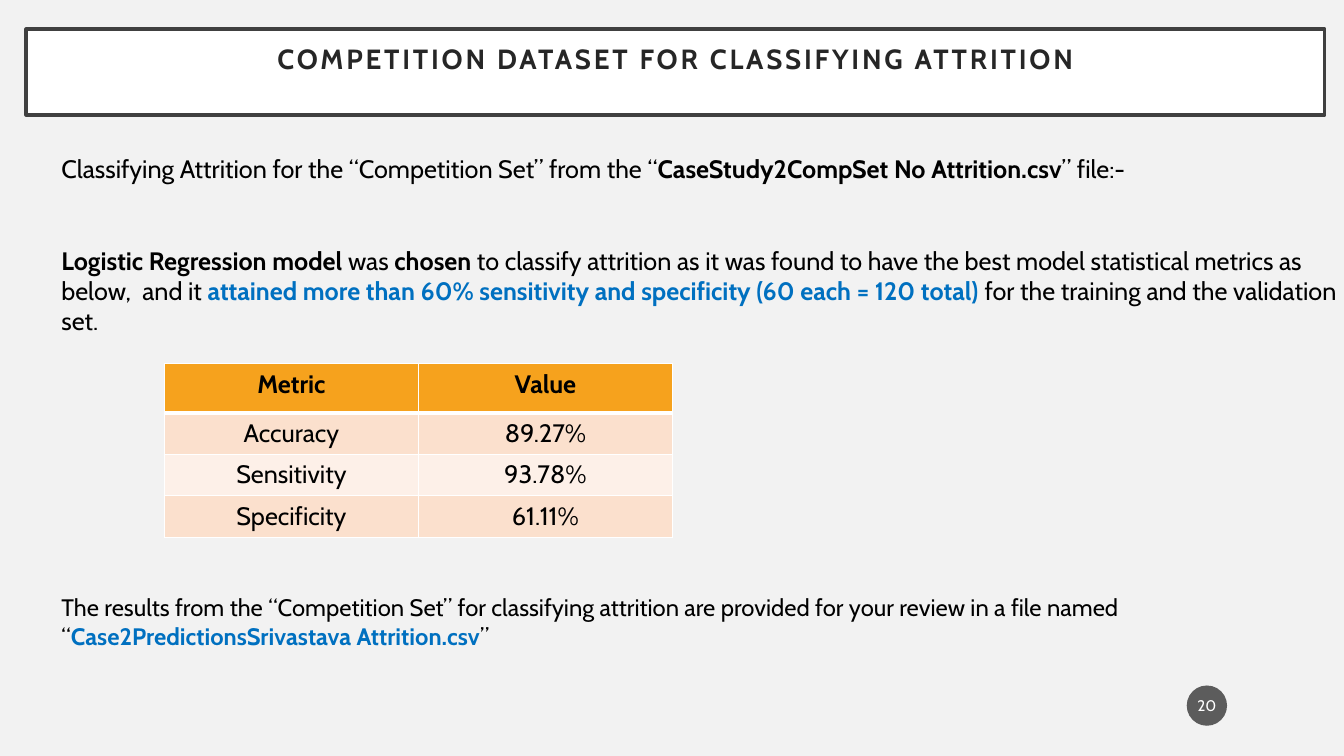
from dataclasses import dataclass

import lxml.etree
import pptx
import pptx.dml.color
import pptx.enum.shapes
import pptx.enum.text
import pptx.oxml.ns
import pptx.util


@dataclass(frozen=True)
class Theme:
    """Colours, font and type sizes."""
    font: str = "Cabin"
    page: str = "F2F2F2"
    white: str = "FFFFFF"
    frame: str = "404040"
    heading: str = "262626"
    ink: str = "000000"
    accent: str = "0070C0"
    header: str = "F6A21D"
    bands: tuple[str, str] = ("FBE0CD", "FDF0E8")
    badge: str = "1D1D1D"
    title_size: float = 19.8
    body_size: float = 18
    result_size: float = 17
    badge_size: float = 11


@dataclass(frozen=True)
class Box:
    """A place on the slide, in hundredths of its width and height."""
    x: float
    y: float
    w: float
    h: float


@dataclass(frozen=True)
class Span:
    """A stretch of text in one style."""
    text: str
    bold: bool = False
    color: str = Theme.ink


@dataclass(frozen=True)
class TextBlock:
    """Paragraphs of one size in one box."""
    box: Box
    size: float
    paragraphs: tuple[tuple[Span, ...], ...]


THEME = Theme()
WIDTH, HEIGHT = pptx.util.Inches(13.33), pptx.util.Inches(7.5)
PARAGRAPH_GAP = 44
HEADER_ROW, DATA_ROW = 6.53, 5.47
METRICS = (("Metric", "Value"), ("Accuracy", "89.27%"), ("Sensitivity", "93.78%"), ("Specificity", "61.11%"))
TITLE_BOX = Box(1.95, 3.87, 96.62, 11.33)
TABLE_BOX = Box(12.23, 48.13, 37.81, HEADER_ROW + DATA_ROW * (len(METRICS) - 1))
BADGE_BOX = Box(88.3, 90.67, 3, 5.33)
BLOCKS = (
    TextBlock(Box(3.83, 19.6, 98.05, 26.67), THEME.body_size, (
        (Span("Classifying Attrition for the “Competition Set” from the “"),
         Span("CaseStudy2CompSet No Attrition.csv", True), Span("” file:-")),
        (Span("Logistic Regression model ", True), Span("was "), Span("chosen", True),
         Span(" to classify attrition as it was found to have the best model "
              "statistical metrics as below,  and it "),
         Span("attained more than 60% sensitivity and specificity (60 each = 120 total) ", True, THEME.accent),
         Span("for the training and the validation set.")),
    )),
    TextBlock(Box(3.83, 77.73, 101.43, 9.33), THEME.result_size, (
        (Span("The results from the “Competition Set” for classifying attrition are provided "
              "for your review in a file named “"),
         Span("Case2PredictionsSrivastava Attrition.csv", True, THEME.accent), Span("”")),
    )),
)


def rgb(color: str) -> pptx.dml.color.RGBColor:
    """Turn a hex string into a colour."""
    return pptx.dml.color.RGBColor.from_string(color)


def across(share: float) -> int:
    """Measure hundredths of the slide width."""
    return round(WIDTH * share / 100)


def down(share: float) -> int:
    """Measure hundredths of the slide height."""
    return round(HEIGHT * share / 100)


def place(box: Box) -> tuple[int, int, int, int]:
    """Turn a box into left, top, width and height."""
    return across(box.x), down(box.y), across(box.w), down(box.h)


def style(p, size: float, color: str, bold: bool = False, centred: bool = True) -> None:
    """Set the font and alignment of a paragraph."""
    p.font.name, p.font.size, p.font.bold = THEME.font, pptx.util.Pt(size), bold
    p.font.color.rgb = rgb(color)
    p.alignment = pptx.enum.text.PP_ALIGN.CENTER if centred else pptx.enum.text.PP_ALIGN.LEFT


def sub(parent, tag: str, **attributes: str):
    """Add a DrawingML child element."""
    return lxml.etree.SubElement(parent, pptx.oxml.ns.qn(tag), **attributes)


def add_panel(s, kind, box: Box, fill: str):
    """Add a filled shape without shadow."""
    sp = s.shapes.add_shape(kind, *place(box))
    sp.shadow.inherit = False
    sp.fill.solid()
    sp.fill.fore_color.rgb = rgb(fill)
    return sp


def add_title(s) -> None:
    """Add the framed title."""
    sp = add_panel(s, pptx.enum.shapes.MSO_SHAPE.RECTANGLE, TITLE_BOX, THEME.white)
    sp.line.color.rgb, sp.line.width = rgb(THEME.frame), pptx.util.Pt(2.5)
    tf = sp.text_frame
    tf.vertical_anchor = pptx.enum.text.MSO_ANCHOR.TOP
    tf.margin_top = pptx.util.Inches(0.16)
    p = tf.paragraphs[0]
    r = p.add_run()
    r.text = "COMPETITION DATASET FOR CLASSIFYING ATTRITION"
    r.font._element.set("spc", "200")
    p.line_spacing = 0.9
    style(p, THEME.title_size, THEME.heading, bold=True)


def add_text(s, block: TextBlock) -> None:
    """Add a block of mixed-style paragraphs."""
    tf = s.shapes.add_textbox(*place(block.box)).text_frame
    tf.word_wrap = True
    for i, spans in enumerate(block.paragraphs):
        p = tf.add_paragraph() if i else tf.paragraphs[0]
        p.space_before = pptx.util.Pt(PARAGRAPH_GAP if i else 0)
        style(p, block.size, THEME.ink, centred=False)
        for span in spans:
            r = p.add_run()
            r.text, r.font.bold = span.text, span.bold
            r.font.color.rgb = rgb(span.color)


def add_borders(cell, row: int) -> None:
    """Rule a cell in white, thicker under the header."""
    widths = {"L": 1, "R": 1, "T": 3 if row == 1 else 1, "B": 3 if row == 0 else 1}
    for side, width in widths.items():
        ln = sub(cell._tc.get_or_add_tcPr(), f"a:ln{side}", w=str(pptx.util.Pt(width)))
        sub(sub(ln, "a:solidFill"), "a:srgbClr", val=THEME.white)


def add_metrics(s) -> None:
    """Add the table of model metrics."""
    table = s.shapes.add_table(len(METRICS), len(METRICS[0]), *place(TABLE_BOX)).table
    for i, values in enumerate(METRICS):
        table.rows[i].height = down(DATA_ROW if i else HEADER_ROW)
        for j, value in enumerate(values):
            cell = table.cell(i, j)
            cell.text = value
            style(cell.text_frame.paragraphs[0], THEME.body_size, THEME.ink, bold=i == 0)
            add_borders(cell, i)
            cell.fill.solid()
            cell.fill.fore_color.rgb = rgb(THEME.bands[(i - 1) % 2] if i else THEME.header)


def add_badge(s) -> None:
    """Add the round page number."""
    sp = add_panel(s, pptx.enum.shapes.MSO_SHAPE.OVAL, BADGE_BOX, THEME.badge)
    sp.line.fill.background()
    sub(sp.fill._xPr.find(".//" + pptx.oxml.ns.qn("a:srgbClr")), "a:alpha", val="70000")
    tf = sp.text_frame
    tf.margin_left = tf.margin_right = pptx.util.Inches(0.02)
    tf.text = "20"
    style(tf.paragraphs[0], THEME.badge_size, THEME.white)


def main() -> None:
    """Build and save the slide."""
    prs = pptx.Presentation()
    prs.slide_width, prs.slide_height = WIDTH, HEIGHT
    s = prs.slides.add_slide(prs.slide_layouts[6])
    s.background.fill.solid()
    s.background.fill.fore_color.rgb = rgb(THEME.page)
    add_title(s)
    for block in BLOCKS:
        add_text(s, block)
    add_metrics(s)
    add_badge(s)
    prs.save("out.pptx")


main()
